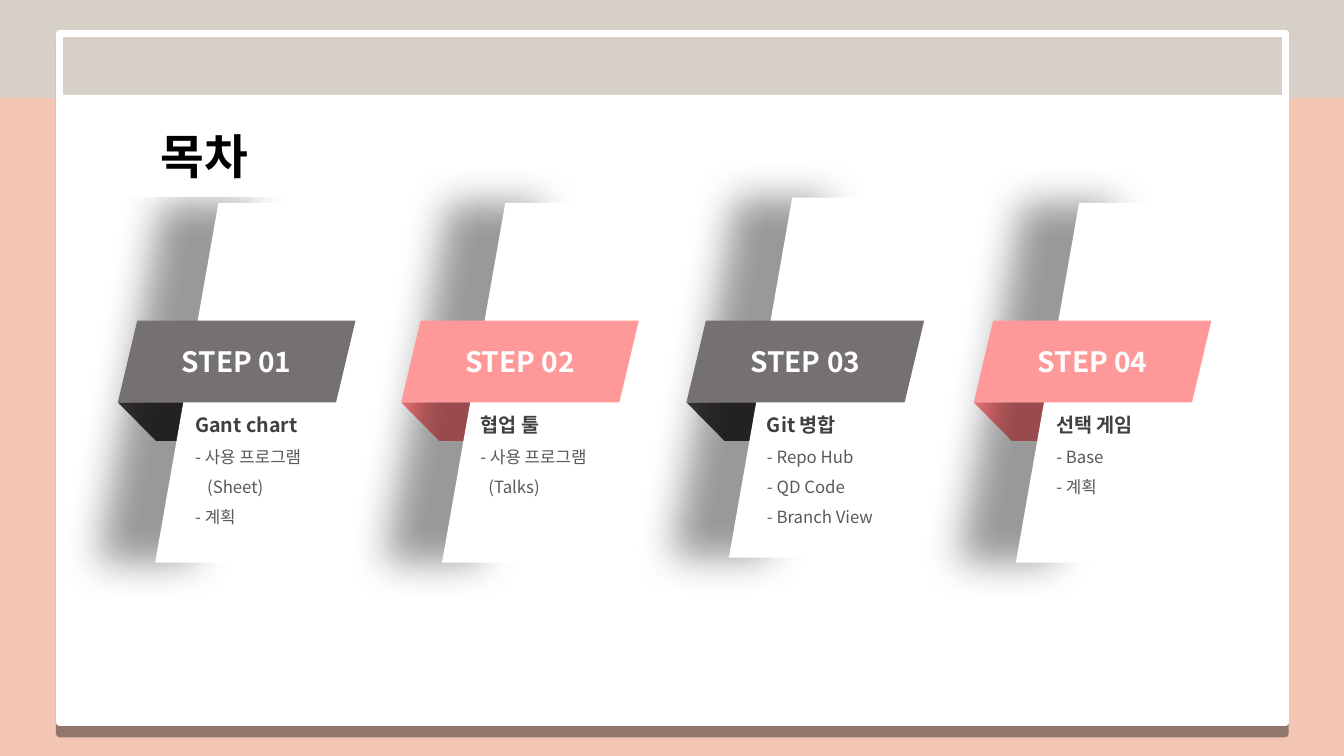
from dataclasses import dataclass

from lxml import etree
from pptx import Presentation
from pptx.dml.color import RGBColor
from pptx.enum import shapes, text
from pptx.oxml import ns
from pptx.util import Cm, Pt


@dataclass(frozen=True)
class Theme:
    font: str = "Noto Sans CJK KR"
    peach: str = "F3C6B3"
    stone: str = "D7D0C8"
    white: str = "FFFFFF"
    black: str = "000000"
    heading: str = "404040"
    body: str = "595959"
    # Band colour and fold colour, taken in turn
    ribbons: tuple = (("767171", "3B3838"), ("FF9999", "FF7C80"))
    title_size: int = 34
    step_size: int = 20
    heading_size: int = 14
    body_size: int = 12


THEME = Theme()

# Band left, text left, sheet top, heading, items with their indent (cm)
STEPS = [
    (2.97, 4.67, 5.11, "Gant chart",
     [("- 사용 프로그램", 0), ("(Sheet)", 0.3), ("- 계획", 0)]),
    (10.11, 11.86, 5.11, "협업 툴",
     [("- 사용 프로그램", 0), ("(Talks)", 0.2)]),
    (17.3, 19.08, 4.98, "Git 병합",
     [("- Repo Hub", 0), ("- QD Code", 0), ("- Branch View", 0)]),
    (24.54, 26.37, 5.11, "선택 게임",
     [("- Base", 0), ("- 계획", 0)]),
]
SHEET_LEFT, SHEET_PITCH = 3.91, 7.23
BAND_TOP, BAND_WIDTH, BAND_HEIGHT, BAND_SLANT = 8.08, 5.99, 2.06, 0.238


def rgb(color):
    return RGBColor.from_string(color)


def sub(parent, tag, **attributes):
    return etree.SubElement(parent, ns.qn(tag), attributes)


def split_fill(fill, lower, upper, split):
    """Two flat colours that meet at a share of the height from below."""
    fill.gradient()
    fill.gradient_angle = 90
    for stop, color in zip(fill.gradient_stops, (lower, upper)):
        stop.position = split
        stop.color.rgb = rgb(color)


def add_shadow(shape, blur, distance, angle):
    effects = shape._element.spPr.find(ns.qn("a:effectLst"))
    shadow = sub(effects, "a:outerShdw", blurRad=str(Pt(blur)), dist=str(Pt(distance)),
                 dir=str(angle * 60000), algn="ctr", rotWithShape="0")
    sub(sub(shadow, "a:srgbClr", val=THEME.black), "a:alpha", val="40000")


def add_block(slide, kind, box, color=None, slant=None):
    block = slide.shapes.add_shape(kind, *map(Cm, box))
    block.shadow.inherit = False
    block.line.fill.background()
    if color:
        block.fill.solid()
        block.fill.fore_color.rgb = rgb(color)
    if slant is not None:
        block.adjustments[0] = slant
    return block


def add_slanted(slide, box, color, slant):
    return add_block(slide, shapes.MSO_SHAPE.PARALLELOGRAM, box, color, slant)


def style(paragraph, size, color, bold=False):
    """Set the font and return its properties element."""
    font = paragraph.font
    font.size, font.bold, font.name = Pt(size), bold, THEME.font
    font.color.rgb = rgb(color)
    properties = paragraph._p.get_or_add_pPr().find(ns.qn("a:defRPr"))
    sub(properties, "a:ea", typeface=THEME.font)
    return properties


def add_label(shape, label, size, color):
    frame = shape.text_frame
    frame.vertical_anchor = text.MSO_ANCHOR.MIDDLE
    paragraph = frame.paragraphs[0]
    paragraph.text = label
    paragraph.alignment = text.PP_ALIGN.CENTER
    return style(paragraph, size, color, bold=True)


def add_page(slide):
    split_fill(slide.background.fill, THEME.peach, THEME.stone, 0.87)
    page = add_block(slide, shapes.MSO_SHAPE.RECTANGLE, (1.5, 0.84, 30.89, 17.37))
    split_fill(page.fill, THEME.white, THEME.stone, 0.91)
    page.line.color.rgb = rgb(THEME.white)
    page.line.width = Pt(5)
    add_shadow(page, blur=0, distance=8, angle=90)


def add_title(slide, title):
    plate = add_slanted(slide, (2.16, 2.9, BAND_WIDTH, BAND_HEIGHT), THEME.white, BAND_SLANT)
    properties = add_label(plate, title, THEME.title_size, THEME.black)
    outline = etree.Element(ns.qn("a:ln"), w=str(Pt(0.75)))
    sub(sub(outline, "a:solidFill"), "a:srgbClr", val=THEME.black)
    properties.insert(0, outline)


def add_ribbon(slide, label, left, sheet_left, sheet_top, band_color, fold_color):
    # Fold behind the sheet
    fold = add_slanted(slide, (left, BAND_TOP + BAND_HEIGHT, 3.68, 0.97), fold_color, 0.989)
    fold._element.spPr.find(ns.qn("a:xfrm")).set("flipV", "1")
    # White sheet that casts the soft shadow
    sheet = add_slanted(slide, (sheet_left, sheet_top, 3.99, 9.07), THEME.white, 0.4)
    add_shadow(sheet, blur=28, distance=41, angle=180)
    # Band across the sheet
    band = add_slanted(slide, (left, BAND_TOP, BAND_WIDTH, BAND_HEIGHT), band_color, BAND_SLANT)
    add_label(band, label, THEME.step_size, THEME.white)


def add_contents(slide, left, heading, items):
    height = 1.1 + 0.77 * len(items)
    frame = slide.shapes.add_textbox(Cm(left), Cm(9.98), Cm(4.95), Cm(height)).text_frame
    frame.word_wrap = True
    frame.auto_size = text.MSO_AUTO_SIZE.SHAPE_TO_FIT_TEXT
    first = frame.paragraphs[0]
    first.text = heading
    first.line_spacing = 1.5
    style(first, THEME.heading_size, THEME.heading, bold=True)
    for item, indent in items:
        paragraph = frame.add_paragraph()
        paragraph.text = item
        paragraph.line_spacing = 1.5
        style(paragraph, THEME.body_size, THEME.body)
        if indent:
            properties = paragraph._p.get_or_add_pPr()
            properties.set("marL", str(Cm(indent)))
            properties.set("indent", "0")


def main():
    deck = Presentation()
    deck.slide_width, deck.slide_height = Cm(33.87), Cm(19.05)
    slide = deck.slides.add_slide(deck.slide_layouts[6])

    add_page(slide)
    for index, (left, text_left, sheet_top, heading, items) in enumerate(STEPS):
        colors = THEME.ribbons[index % len(THEME.ribbons)]
        sheet_left = SHEET_LEFT + index * SHEET_PITCH
        add_ribbon(slide, f"STEP {index + 1:02}", left, sheet_left, sheet_top, *colors)
        add_contents(slide, text_left, heading, items)
    add_title(slide, "목차")

    deck.save("out.pptx")


main()
